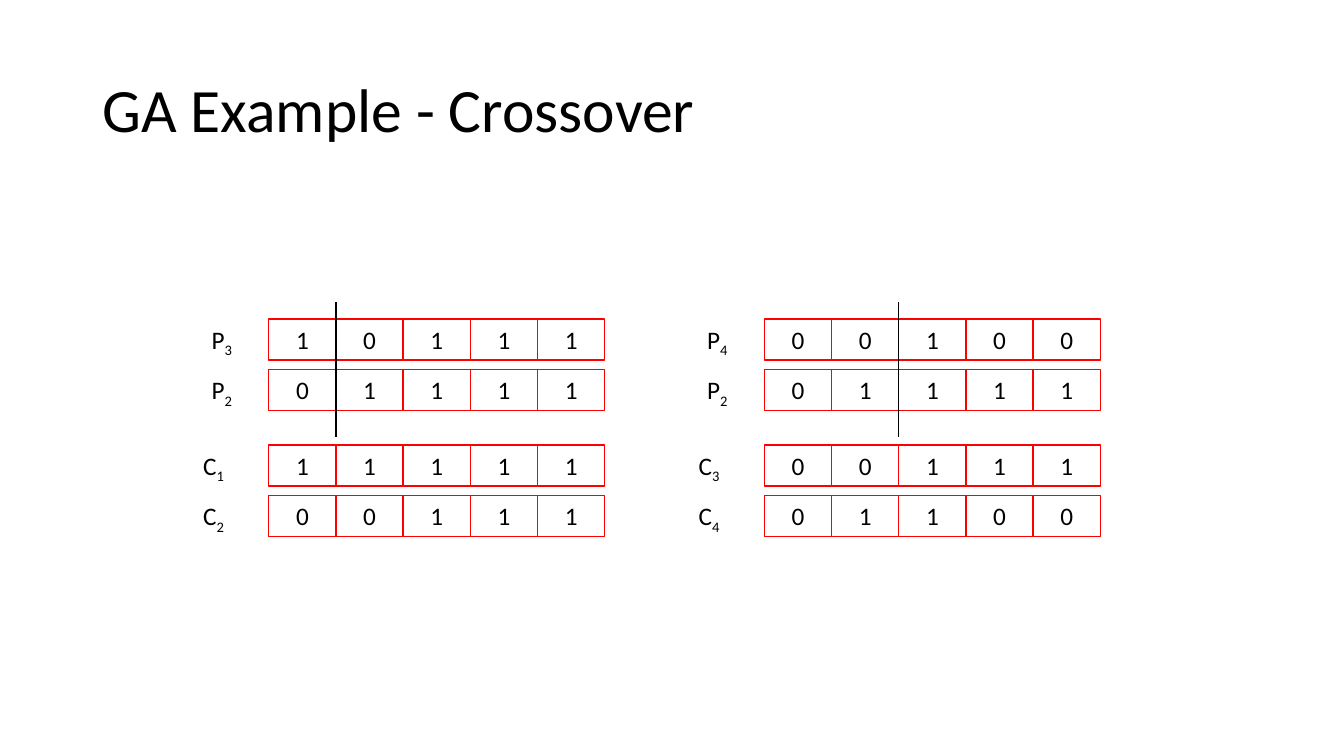
from dataclasses import dataclass

from lxml.etree import SubElement
from pptx import Presentation
from pptx.dml.color import RGBColor
from pptx.enum.shapes import MSO_CONNECTOR, MSO_SHAPE
from pptx.enum.text import MSO_ANCHOR, MSO_AUTO_SIZE, PP_ALIGN
from pptx.oxml.ns import qn
from pptx.util import Pt


@dataclass(frozen=True)
class Theme:
    face: str = "Calibri"
    ink: RGBColor = RGBColor(0, 0, 0)
    edge: RGBColor = RGBColor(255, 0, 0)
    head: int = 44
    body: int = 18


def px(*sides):
    return [side * 9525 for side in sides]


def apply(item, form):
    for name, value in form.items():
        setattr(item, name, value)


class Deck:
    """Draws styled elements on the current slide."""

    def __init__(self, theme):
        self.theme = theme
        self.deck = Presentation()
        self.deck.slide_width, self.deck.slide_height = px(1280, 720)
        self.slide = self.deck.slides.add_slide(self.deck.slide_layouts[5])
        self.shapes = self.slide.shapes

    def group(self, name):
        group = self.slide.shapes.add_group_shape()
        group.name = name
        self.shapes = group.shapes

    def fill_text(self, shape, parts, size, frame, para):
        text = shape.text_frame
        apply(text, {"word_wrap": True, **frame})
        line = text.paragraphs[0]
        apply(line, para)
        for part in parts:
            run = line.add_run()
            run.text = part
            apply(run.font, {"name": self.theme.face, "size": Pt(size), "bold": False})
            run.font.color.rgb = self.theme.ink
        return line.runs

    def title(self, text, *box):
        shape = self.slide.shapes.title
        apply(shape, dict(zip(("left", "top", "width", "height"), px(*box))))
        frame = {"vertical_anchor": MSO_ANCHOR.MIDDLE, "auto_size": MSO_AUTO_SIZE.NONE}
        para = {"alignment": PP_ALIGN.LEFT, "line_spacing": 0.9}
        self.fill_text(shape, [text], self.theme.head, frame, para)

    def small(self, shape, parts, align):
        frame = {"vertical_anchor": MSO_ANCHOR.TOP, "auto_size": MSO_AUTO_SIZE.SHAPE_TO_FIT_TEXT}
        return self.fill_text(shape, parts, self.theme.body, frame, {"alignment": align})

    def cell(self, text, *box):
        shape = self.shapes.add_shape(MSO_SHAPE.RECTANGLE, *px(*box))
        shape.shadow.inherit = False
        shape.fill.background()
        shape.line.color.rgb = self.theme.edge
        shape.line.width = Pt(1)
        self.small(shape, [text], PP_ALIGN.CENTER)

    def label(self, parts, *box):
        runs = self.small(self.shapes.add_textbox(*px(*box)), parts, PP_ALIGN.LEFT)
        runs[1]._r.get_or_add_rPr().set("baseline", "-25000")

    def cut(self, left, top, end):
        line = self.shapes.add_connector(MSO_CONNECTOR.STRAIGHT, *px(left, top, left, end))
        line.line.color.rgb = self.theme.ink
        line.line.width = Pt(1)
        SubElement(line._element.spPr, qn("a:effectLst"))

    def rows(self, pair, left, top, shift):
        wide, high, step = 64, 39, 48
        for row, (name, genes) in enumerate(pair):
            y = top + row * step
            for col, gene in enumerate(genes):
                self.cell(gene, left + col * wide, y, wide, high)
            self.label(name, left - wide - shift, y, wide, high)

    def cross(self, left, point, pairs, kids):
        self.group(f"Crossover at {point}")
        self.rows(pairs, left, 304, 0)
        self.cut(left + point * 64, 288, 416)
        self.rows(kids, left, 424, 8)


def main():
    deck = Deck(Theme())
    deck.title("GA Example - Crossover", 88, 38, 1104, 139)
    deck.cross(
        256, 1,
        [("P3", "10111"), ("P2", "01111")],
        [("C1", "11111"), ("C2", "00111")],
    )
    deck.cross(
        728, 2,
        [("P4", "00100"), ("P2", "01111")],
        [("C3", "00111"), ("C4", "01100")],
    )
    deck.deck.save("out.pptx")


if __name__ == "__main__":
    main()
